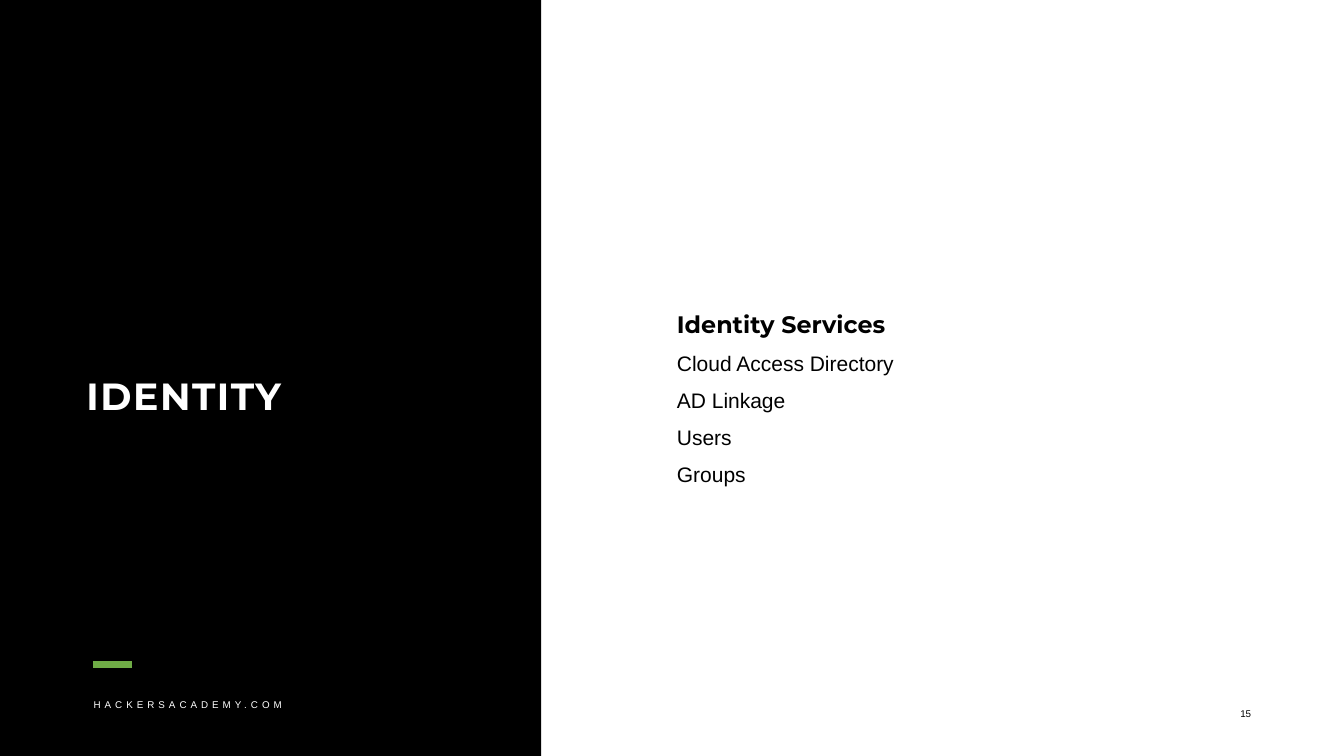
from dataclasses import dataclass

from lxml import etree
from pptx import Presentation
from pptx.dml.color import RGBColor
from pptx.enum.shapes import MSO_CONNECTOR, MSO_SHAPE
from pptx.oxml.ns import qn
from pptx.util import Cm, Pt


@dataclass(frozen=True)
class Theme:
    black: RGBColor = RGBColor(0x00, 0x00, 0x00)
    white: RGBColor = RGBColor(0xFF, 0xFF, 0xFF)
    green: RGBColor = RGBColor(0x6F, 0xAC, 0x46)
    heading_font: str = "Montserrat"
    body_font: str = "Arial"
    title_size: Pt = Pt(27)
    heading_size: Pt = Pt(17)
    body_size: Pt = Pt(15)
    small_size: Pt = Pt(7)
    line_pitch: Pt = Pt(26.4)


theme = Theme()
SLIDE_WIDTH, SLIDE_HEIGHT = Cm(33.87), Cm(19.05)


def format_paragraph(paragraph, text, *, size, color=theme.black,
                     font=theme.body_font, bold=False, tracking=0, pitch=None):
    """Fill one paragraph; tracking is letter spacing in points."""
    run = paragraph.add_run()
    run.text = text
    run.font.name = font
    run.font.size = size
    run.font.bold = bold
    run.font.color.rgb = color
    if tracking:
        run.font._element.set("spc", str(round(tracking * 100)))
    if pitch:
        paragraph.line_spacing = pitch


def add_text_frame(left, top, width, height):
    """Add a wrapping text box without margins and return its frame."""
    frame = slide.shapes.add_textbox(Cm(left), Cm(top), Cm(width), Cm(height)).text_frame
    frame.word_wrap = True
    frame.margin_left = frame.margin_top = frame.margin_right = frame.margin_bottom = 0
    return frame


presentation = Presentation()
presentation.slide_width, presentation.slide_height = SLIDE_WIDTH, SLIDE_HEIGHT
slide = presentation.slides.add_slide(presentation.slide_layouts[6])

# Left panel with accent dash
panel = slide.shapes.add_shape(MSO_SHAPE.RECTANGLE, 0, 0, Cm(13.64), SLIDE_HEIGHT)
panel.shadow.inherit = False
panel.fill.solid()
panel.fill.fore_color.rgb = theme.black
panel.line.fill.background()

dash = slide.shapes.add_connector(
    MSO_CONNECTOR.STRAIGHT, Cm(2.34), Cm(16.74), Cm(3.33), Cm(16.74))
dash.line.color.rgb = theme.green
dash.line.width = Pt(5)
etree.SubElement(dash._element.spPr, qn("a:effectLst"))

# Title, web address and page number
title = add_text_frame(2.18, 9.4, 6, 1.2)
format_paragraph(title.paragraphs[0], "IDENTITY", size=theme.title_size,
                 color=theme.white, font=theme.heading_font, bold=True, tracking=1.1)

address = add_text_frame(2.36, 17.61, 6, 0.36)
format_paragraph(address.paragraphs[0], "HACKERSACADEMY.COM", size=theme.small_size,
                 color=theme.white, tracking=2.9)

page_number = add_text_frame(31.26, 17.84, 0.6, 0.6)
format_paragraph(page_number.paragraphs[0], "15", size=theme.small_size, tracking=-0.2)

# Services list
services = add_text_frame(17.06, 7.6, 8, 4.9)
format_paragraph(services.paragraphs[0], "Identity Services", size=theme.heading_size,
                 font=theme.heading_font, bold=True, pitch=theme.line_pitch)
for service in ("Cloud Access Directory", "AD Linkage", "Users", "Groups"):
    format_paragraph(services.add_paragraph(), service, size=theme.body_size,
                     pitch=theme.line_pitch)

presentation.save("out.pptx")
